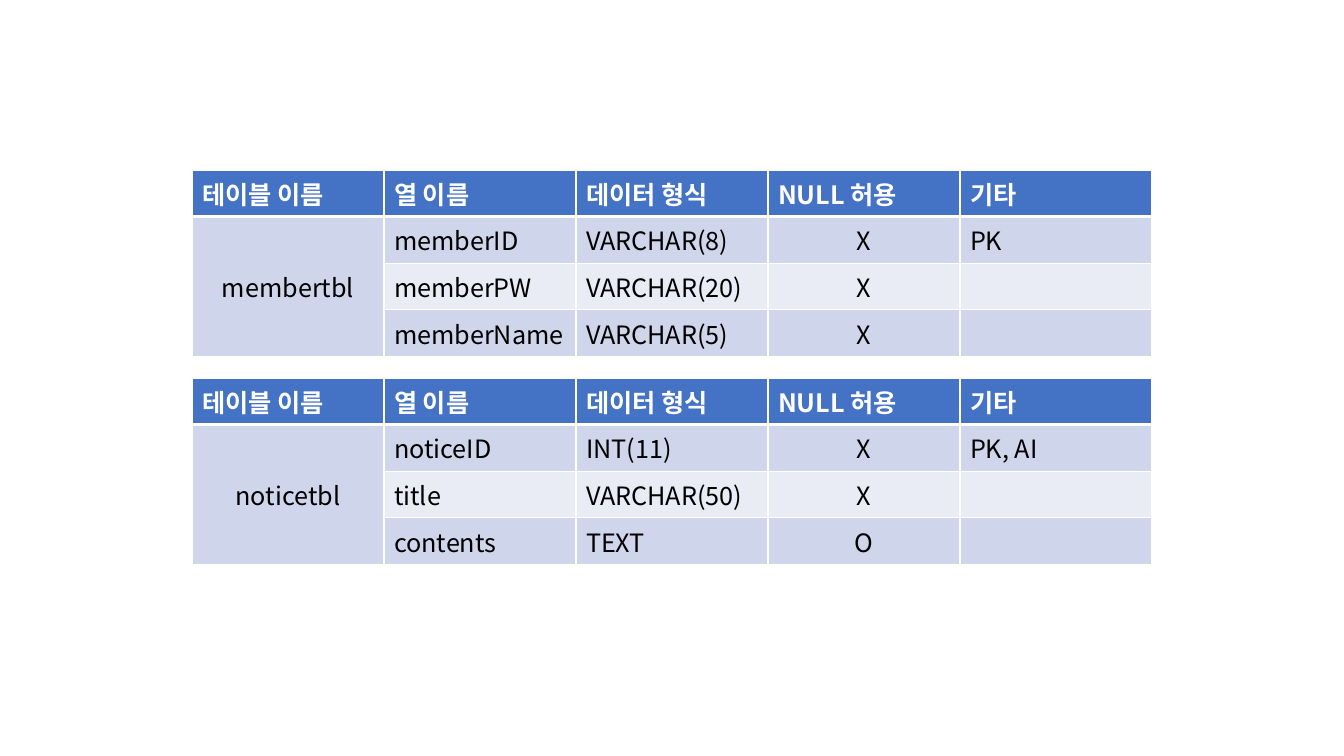
from lxml.etree import SubElement
from pptx import Presentation
from pptx.dml.color import RGBColor
from pptx.enum.text import MSO_ANCHOR, PP_ALIGN
from pptx.oxml.ns import qn
from pptx.util import Emu, Pt

FONT = "Noto Sans CJK KR"
HEADER = ["테이블 이름", "열 이름", "데이터 형식", "NULL 허용", "기타"]
HEADER_FILL = "4472C4"
BAND_FILLS = ["CFD5EA", "E9EBF5"]
NULL_COL = 3
LEFT, COL_W, ROW_H = 192, 192, 41


def px(n):
    return Emu(round(n * 914400 / 100.8))


def rgb(value):
    return RGBColor.from_string(value)


def set_borders(cell, top, bottom):
    tcPr = cell._tc.get_or_add_tcPr()
    for side, width in (("L", 1), ("R", 1), ("T", top), ("B", bottom)):
        ln = SubElement(tcPr, qn(f"a:ln{side}"), w=str(Pt(width)))
        fill = SubElement(ln, qn("a:solidFill"))
        SubElement(fill, qn("a:srgbClr"), val="FFFFFF")


def set_text(cell, text, color, bold, align):
    p = cell.text_frame.paragraphs[0]
    p.text = text
    p.alignment = align
    for r in p.runs:
        r.font.size = Pt(18)
        r.font.bold = bold
        r.font.color.rgb = rgb(color)
        r.font.name = FONT
        SubElement(r._r.get_or_add_rPr(), qn("a:ea"), typeface=FONT)


def style_cell(cell, fill, top=1, bottom=1):
    set_borders(cell, top, bottom)
    cell.fill.solid()
    cell.fill.fore_color.rgb = rgb(fill)


def add_schema(s, top, name, fields):
    rows, cols = len(fields) + 1, len(HEADER)
    table = s.shapes.add_table(rows, cols, px(LEFT), px(top),
                               px(COL_W * cols), px(ROW_H * rows)).table
    for col, title in enumerate(HEADER):
        cell = table.cell(0, col)
        style_cell(cell, HEADER_FILL, bottom=3)
        set_text(cell, title, "FFFFFF", True, PP_ALIGN.LEFT)
    for row, field in enumerate(fields, 1):
        band = BAND_FILLS[(row - 1) % 2]
        for col in range(cols):
            style_cell(table.cell(row, col), band, top=3 if row == 1 else 1)
        for col, text in enumerate(field, 1):
            align = PP_ALIGN.CENTER if col == NULL_COL else PP_ALIGN.LEFT
            if text:
                set_text(table.cell(row, col), text, "000000", False, align)
    name_cell = table.cell(1, 0)
    name_cell.merge(table.cell(rows - 1, 0))
    name_cell.vertical_anchor = MSO_ANCHOR.MIDDLE
    set_text(name_cell, name, "000000", False, PP_ALIGN.CENTER)


def main():
    prs = Presentation()
    prs.slide_width, prs.slide_height = px(1344), px(756)
    s = prs.slides.add_slide(prs.slide_layouts[6])
    add_schema(s, 170, "membertbl", [
        ("memberID", "VARCHAR(8)", "X", "PK"),
        ("memberPW", "VARCHAR(20)", "X", ""),
        ("memberName", "VARCHAR(5)", "X", ""),
    ])
    add_schema(s, 378, "noticetbl", [
        ("noticeID", "INT(11)", "X", "PK, AI"),
        ("title", "VARCHAR(50)", "X", ""),
        ("contents", "TEXT", "O", ""),
    ])
    prs.save("out.pptx")


main()
